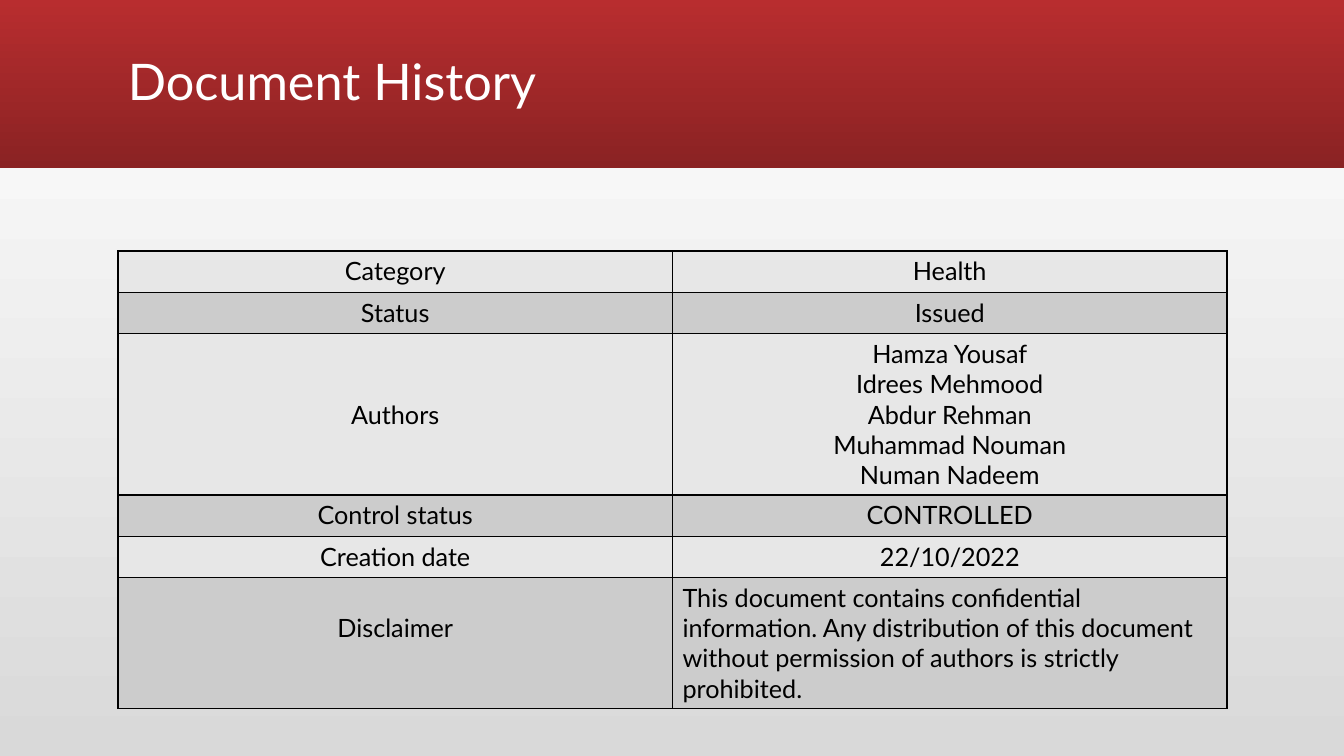
import pptx
import pptx.dml.color
import pptx.enum.shapes
import pptx.enum.text
import pptx.oxml
import pptx.oxml.ns
import pptx.util

RGBColor = pptx.dml.color.RGBColor
Inches = pptx.util.Inches
Pt = pptx.util.Pt
PP_ALIGN = pptx.enum.text.PP_ALIGN
ANCHOR = pptx.enum.text.MSO_ANCHOR

WHITE = RGBColor(0xFF, 0xFF, 0xFF)
BLACK = RGBColor(0x00, 0x00, 0x00)
MIST = RGBColor(0xD9, 0xD9, 0xD9)
RED = RGBColor(0xB8, 0x2D, 0x2F)
DARK_RED = RGBColor(0x8A, 0x22, 0x23)
BANDS = (RGBColor(0xE7, 0xE7, 0xE7), RGBColor(0xCC, 0xCC, 0xCC))

SLIDE_WIDTH, SLIDE_HEIGHT = Inches(13.33), Inches(7.5)
MARGIN, CONTENT_WIDTH = Inches(1.17), Inches(11)
HEADER_HEIGHT = Inches(1.67)
TABLE_TOP = Inches(2.49)
LINE_HEIGHT = Inches(0.3)
CELL_PADDING = Inches(0.05)

TITLE_FONT = {"name": "Lato", "size": Pt(36)}
CELL_FONT = {"name": "Lato", "size": Pt(18)}

# Row height in inches, label, label's line within the row, values
HISTORY = (
    (0.41, "Category", 0, ["Health"]),
    (0.41, "Status", 0, ["Issued"]),
    (1.57, "Authors", 2, ["Hamza Yousaf", "Idrees Mehmood", "Abdur Rehman",
                          "Muhammad Nouman", "Numan Nadeem"]),
    (0.41, "Control status", 0, ["CONTROLLED"]),
    (0.41, "Creation date", 0, ["22/10/2022"]),
    (0.88, "Disclaimer", 1, [
        "This document contains confidential information. Any distribution of "
        "this document without permission of authors is strictly prohibited."]),
)


def apply_format(target, values):
    for attribute, value in values.items():
        setattr(target, attribute, value)


def fill_gradient(fill, start, end, angle):
    """Blend two colours; the angle runs counter-clockwise from the right."""
    fill.gradient()
    fill.gradient_angle = angle
    for stop, color in zip(fill.gradient_stops, (start, end)):
        stop.color.rgb = color


def write_lines(frame, lines, font, color, paragraph_format):
    frame.text = "\n".join(lines)
    for paragraph in frame.paragraphs:
        apply_format(paragraph, paragraph_format)
        for run in paragraph.runs:
            apply_format(run.font, font)
            run.font.color.rgb = color


def add_header(slide):
    header = slide.shapes.add_shape(
        pptx.enum.shapes.MSO_SHAPE.RECTANGLE, 0, 0, SLIDE_WIDTH, HEADER_HEIGHT)
    header.shadow.inherit = False
    header.line.fill.background()
    fill_gradient(header.fill, RED, DARK_RED, 270)


def add_title(slide, text):
    title = slide.shapes.add_textbox(
        MARGIN, Inches(0.11), CONTENT_WIDTH, Inches(1.45))
    apply_format(title.text_frame,
                 {"word_wrap": True, "vertical_anchor": ANCHOR.MIDDLE})
    write_lines(title.text_frame, [text], TITLE_FONT, WHITE, {"line_spacing": 0.9})


def add_borders(cell):
    properties = cell._tc.get_or_add_tcPr()
    for side in "LRTB":
        properties.append(pptx.oxml.parse_xml(
            f'<a:ln{side} {pptx.oxml.ns.nsdecls("a")} w="{Pt(1)}">'
            f'<a:solidFill><a:srgbClr val="{BLACK}"/></a:solidFill></a:ln{side}>'))


def fill_cell(cell, lines, band, alignment, line_offset=0):
    """Write a cell whose text starts line_offset lines below the top."""
    add_borders(cell)
    cell.fill.solid()
    cell.fill.fore_color.rgb = band
    cell.margin_top = CELL_PADDING + line_offset * LINE_HEIGHT
    write_lines(cell.text_frame, lines, CELL_FONT, BLACK, {"alignment": alignment})


def add_history_table(slide):
    height = Inches(sum(row[0] for row in HISTORY))
    table = slide.shapes.add_table(
        len(HISTORY), 2, MARGIN, TABLE_TOP, CONTENT_WIDTH, height).table
    apply_format(table, {"first_row": False, "horz_banding": False})
    for index, (row_height, label, label_line, values) in enumerate(HISTORY):
        table.rows[index].height = Inches(row_height)
        band = BANDS[index % 2]
        value_alignment = PP_ALIGN.LEFT if label == "Disclaimer" else PP_ALIGN.CENTER
        fill_cell(table.cell(index, 0), [label], band, PP_ALIGN.CENTER, label_line)
        fill_cell(table.cell(index, 1), values, band, value_alignment)


def main():
    presentation = pptx.Presentation()
    apply_format(presentation,
                 {"slide_width": SLIDE_WIDTH, "slide_height": SLIDE_HEIGHT})
    slide = presentation.slides.add_slide(presentation.slide_layouts[6])
    fill_gradient(slide.background.fill, MIST, WHITE, 90)
    add_header(slide)
    add_title(slide, "Document History")
    add_history_table(slide)
    presentation.save("out.pptx")


if __name__ == "__main__":
    main()
